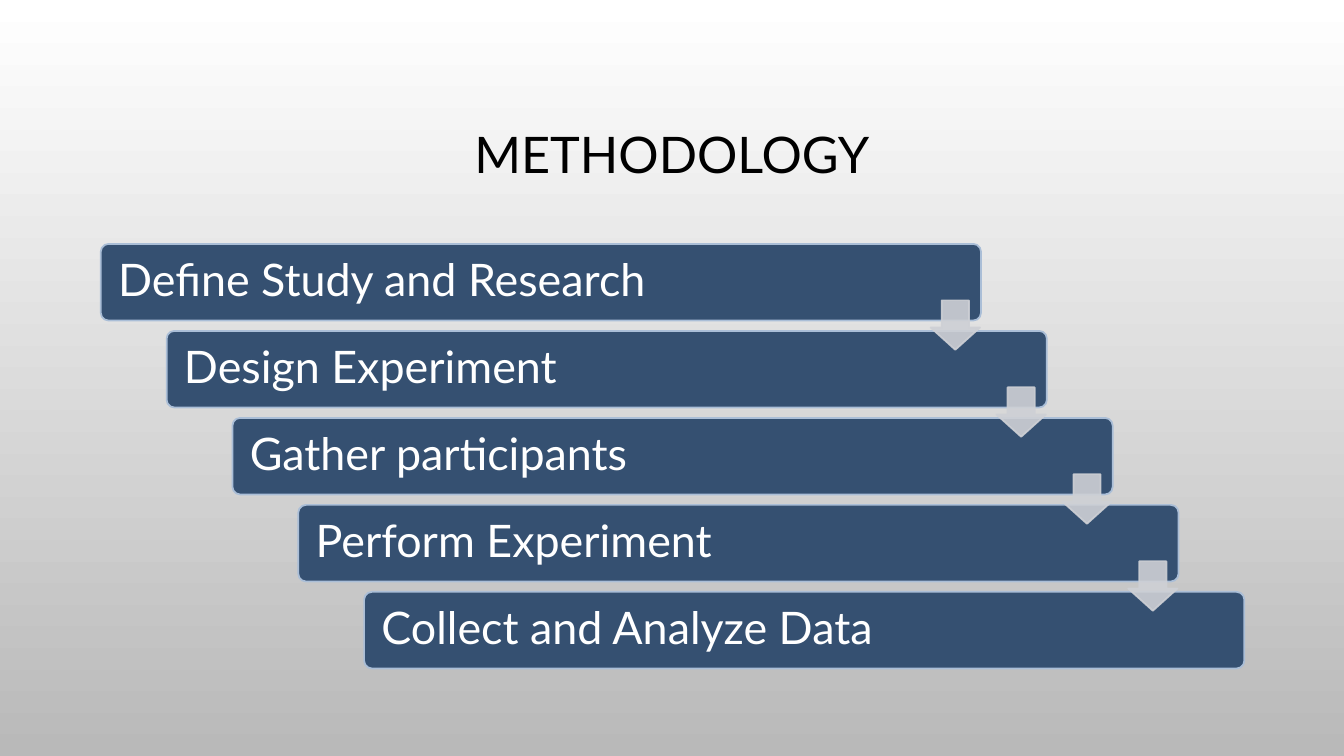
from lxml import etree
from pptx import Presentation
from pptx.dml.color import RGBColor
from pptx.enum.shapes import MSO_SHAPE as Shape
from pptx.enum.text import MSO_ANCHOR as Anchor, MSO_AUTO_SIZE as AutoSize, PP_ALIGN as Align
from pptx.oxml.ns import qn
from pptx.util import Inches, Pt

FONT = "Lato"
BLACK = RGBColor(0x00, 0x00, 0x00)
WHITE = RGBColor(0xFF, 0xFF, 0xFF)
GREY = RGBColor(0xB9, 0xB9, 0xB9)
NAVY = RGBColor(0x35, 0x50, 0x71)
PALE_BLUE = RGBColor(0xAA, 0xBE, 0xD7)
SILVER = RGBColor(0xCE, 0xD0, 0xD5)

STEPS = [
    "Define Study and Research",
    "Design Experiment",
    "Gather participants",
    "Perform Experiment",
    "Collect and Analyze Data",
]

# Staircase grid, in inches
MARGIN, STAIRS_TOP = 1, 2.42
STEP_RIGHT, STEP_DOWN = 0.653, 0.863
BAR_WIDTH, BAR_HEIGHT = 8.73, 0.76
ARROW_SIZE, ARROW_DROP = 0.49, 0.56


def paint_background(slide):
    fill = slide.background.fill
    fill.gradient()
    fill.gradient_angle = 270
    for stop, color, position in zip(fill.gradient_stops, (WHITE, GREY), (0, 1)):
        stop.color.rgb = color
        stop.position = position


def format_text(frame, text, size, color, align):
    frame.text = text
    frame.word_wrap = True
    frame.auto_size = AutoSize.NONE
    frame.vertical_anchor = Anchor.MIDDLE
    paragraph = frame.paragraphs[0]
    paragraph.alignment = align
    paragraph.line_spacing = 0.9
    font = paragraph.runs[0].font
    font.name, font.size, font.color.rgb = FONT, Pt(size), color


def add_title(slide, text):
    title = slide.shapes.title
    title.left, title.top = Inches(MARGIN), Inches(0.68)
    title.width, title.height = Inches(11.33), Inches(1.75)
    format_text(title.text_frame, text, 36, BLACK, Align.CENTER)


def add_block(slide, kind, box, fill, line):
    block = slide.shapes.add_shape(kind, *map(Inches, box))
    block.shadow.inherit = False
    block.fill.solid()
    block.fill.fore_color.rgb = fill
    block.line.color.rgb = line
    block.line.width = Pt(1.25)
    return block


def stair_corner(row):
    return MARGIN + row * STEP_RIGHT, STAIRS_TOP + row * STEP_DOWN


def add_step(slide, row, text):
    left, top = stair_corner(row)
    bar = add_block(slide, Shape.ROUNDED_RECTANGLE,
                    (left, top, BAR_WIDTH, BAR_HEIGHT), NAVY, PALE_BLUE)
    bar.adjustments[0] = 0.1
    frame = bar.text_frame
    frame.margin_left = frame.margin_right = Inches(0.15)
    frame.margin_top = frame.margin_bottom = 0
    format_text(frame, text, 32, WHITE, Align.LEFT)


def add_step_arrow(slide, row):
    left, top = stair_corner(row)
    arrow = add_block(slide, Shape.DOWN_ARROW,
                      (left + BAR_WIDTH - ARROW_SIZE - 0.01, top + ARROW_DROP,
                       ARROW_SIZE, ARROW_SIZE), SILVER, SILVER)
    arrow.adjustments[0] = 0.55
    arrow.adjustments[1] = 0.45
    # Fill and outline are both 90% opaque
    for color in arrow.fill._xPr.iter(qn("a:srgbClr")):
        etree.SubElement(color, qn("a:alpha")).set("val", "90000")


def main():
    deck = Presentation()
    deck.slide_width, deck.slide_height = Inches(13.33), Inches(7.5)
    slide = deck.slides.add_slide(deck.slide_layouts[5])
    paint_background(slide)
    add_title(slide, "METHODOLOGY")

    # Staircase of steps, then the arrows that overlap them
    for row, step in enumerate(STEPS):
        add_step(slide, row, step)
    for row in range(len(STEPS) - 1):
        add_step_arrow(slide, row)
    deck.save("out.pptx")


if __name__ == "__main__":
    main()
